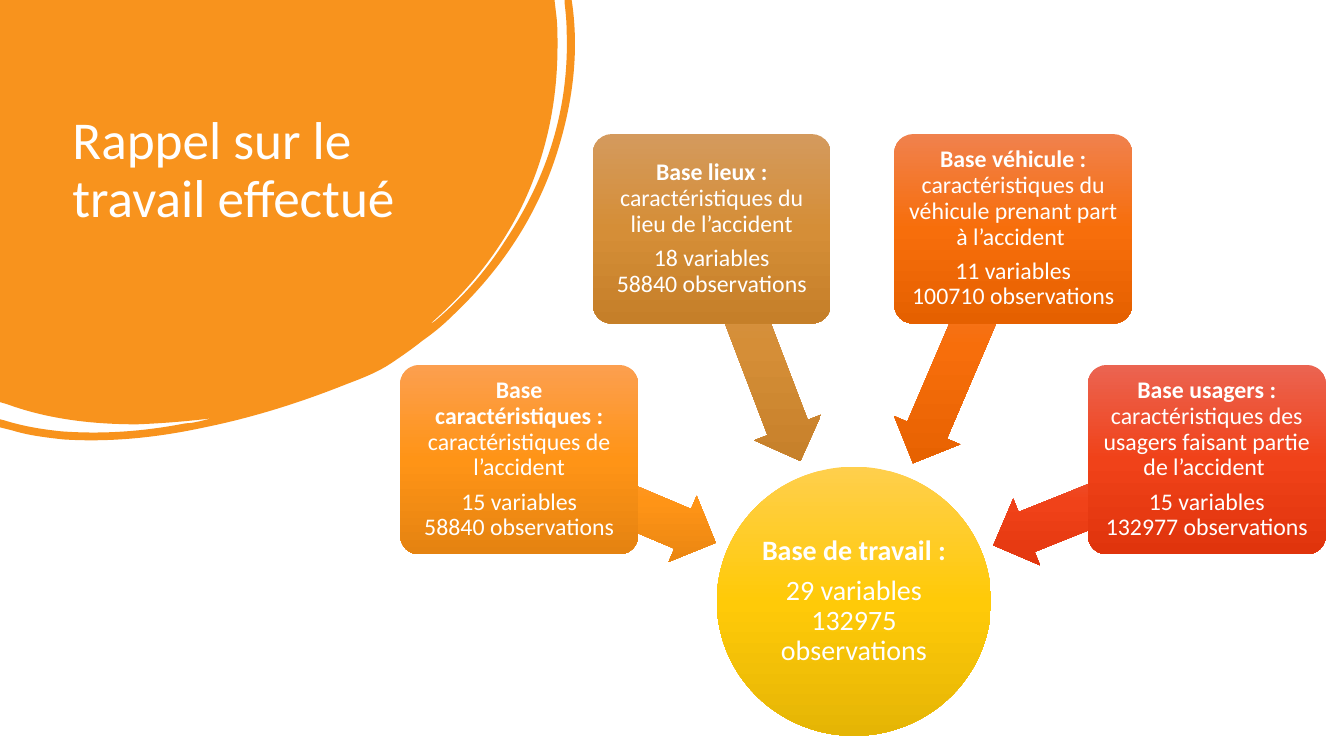
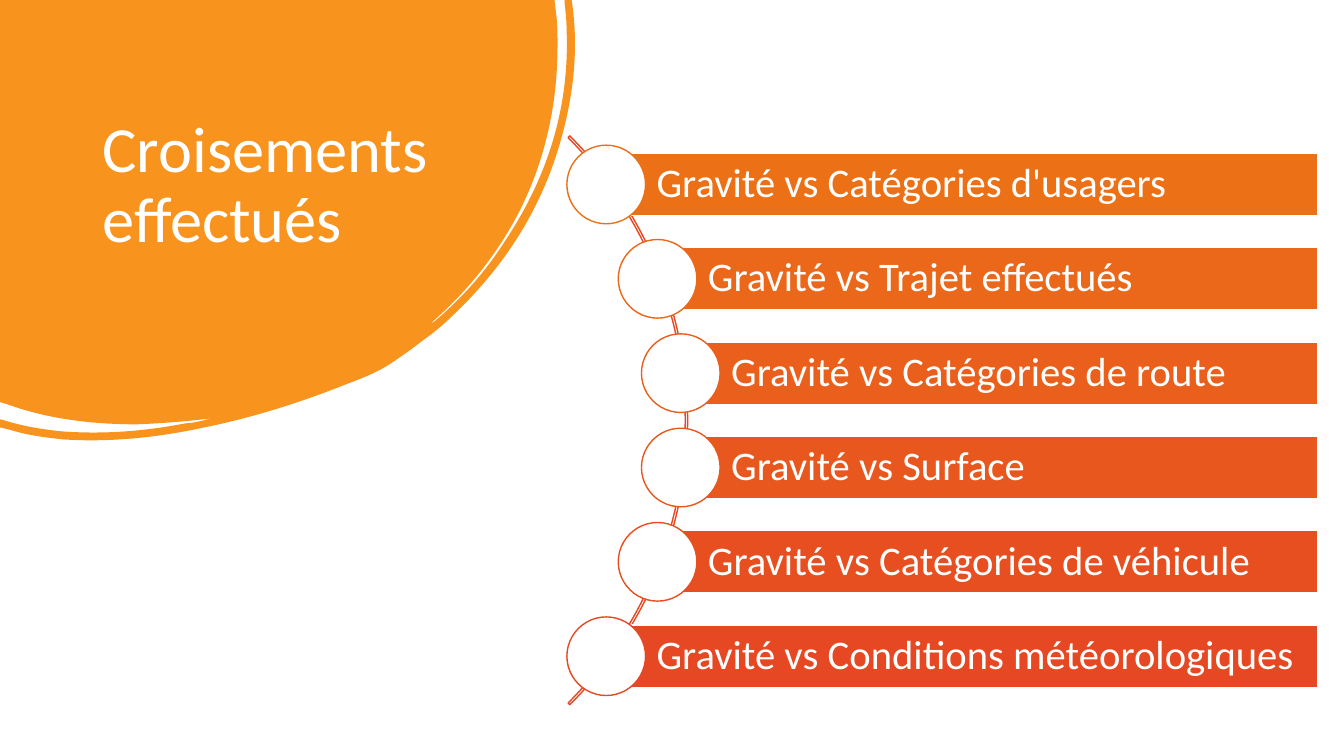
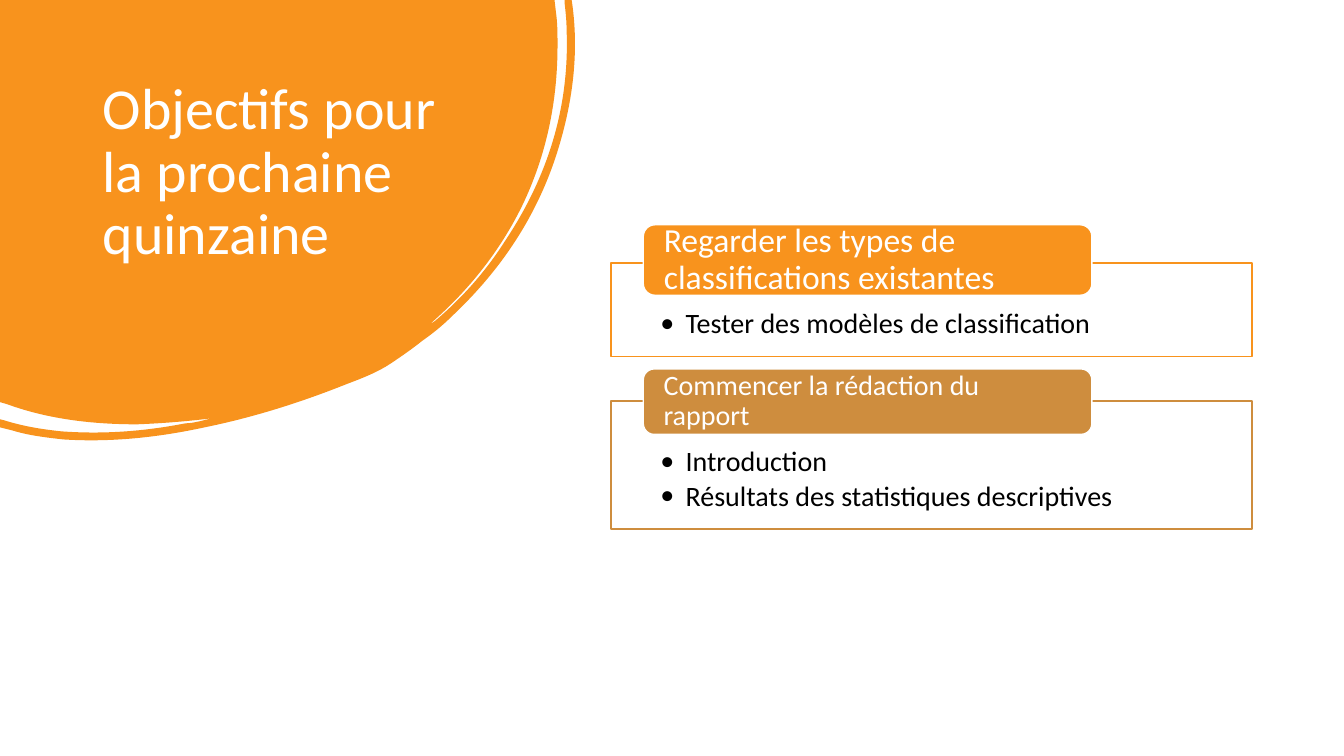
from math import atan2, cos, degrees, hypot, sin, sqrt

from lxml import etree
from pptx import Presentation
from pptx.dml.color import RGBColor
from pptx.enum.shapes import MSO_SHAPE
from pptx.enum.text import MSO_ANCHOR, PP_ALIGN
from pptx.oxml import parse_xml
from pptx.oxml.ns import nsdecls, qn
from pptx.util import Inches, Pt

RECT, ROUND = MSO_SHAPE.RECTANGLE, MSO_SHAPE.ROUNDED_RECTANGLE
OVAL, ARROW, ARC = MSO_SHAPE.OVAL, MSO_SHAPE.LEFT_ARROW, MSO_SHAPE.BLOCK_ARC
TOP, MID = MSO_ANCHOR.TOP, MSO_ANCHOR.MIDDLE
LEFT, MIDST = PP_ALIGN.LEFT, PP_ALIGN.CENTER


class Theme:
    font = "Calibri"
    white, black = "FFFFFF", "000000"
    orange, brown, red = "F8931D", "CE8D3E", "E64823"
    gold = ("FFCF4C", "FFCA08", "E5B505")
    small, body, bar = 17, 20, 29
    space = 0.9


TITLES = [
    ("Rappel sur le travail effectué", (0.62, 0.59), 38, MID),
    ("Croisements effectués", (0.92, 0.74), 46, MID),
    ("Objectifs pour la prochaine quinzaine", (0.92, 0.74), 41.4, TOP),
]

BASES = [
    ((3.97, 3.62), ("FC9F4F", "FF9416", "E58311"), "Base caractéristiques : ",
     "caractéristiques de l’accident", "15 variables\n58840 observations"),
    ((5.88, 1.33), ("D49A5D", "D58E37", "C57F29"), "Base lieux :\n",
     "caractéristiques du lieu de l’accident", "18 variables\n58840 observations"),
    ((8.87, 1.33), ("F0814D", "F76E0B", "E56000"), "Base véhicule : ",
     "caractéristiques du véhicule prenant part à l’accident ",
     "11 variables\n100710 observations"),
    ((10.79, 3.62), ("EB6451", "F04219", "E0340C"), "Base usagers :\n",
     "caractéristiques des usagers faisant partie de l’accident ",
     "15 variables\n132977 observations"),
]
HUB = ("Base de travail :", "29 variables\n132975 observations")

CROSSES = [
    ("Gravité vs Catégories d'usagers", "EC7016"),
    ("Gravité vs Trajet effectués", "EB6719"),
    ("Gravité vs Catégories de route", "EA5F1B"),
    ("Gravité vs Surface", "E8571E"),
    ("Gravité vs Catégories de véhicule", "E74F20"),
    ("Gravité vs Conditions météorologiques", "E64823"),
]

GOALS = [
    ("Regarder les types de classifications existantes", 24, Theme.orange,
     (2.23, 0.7), (2.61, 0.93), ["Tester des modèles de classification"]),
    ("Commencer la rédaction du rapport", 20, Theme.brown,
     (3.66, 0.65), (3.98, 1.27),
     ["Introduction", "Résultats des statistiques descriptives"]),
]

BLOB = [
    (0, 0), (5.5, 0), (5.52, 0.17),
    (5.53, 0.26, 5.53, 0.36, 5.53, 0.45), (5.53, 1.01, 5.42, 1.54, 5.18, 2.04),
    (4.96, 2.49, 4.65, 2.88, 4.27, 3.21), (4.29, 3.21, 4.3, 3.19, 4.32, 3.18),
    (4.59, 2.95, 4.82, 2.69, 5.01, 2.39), (5.43, 1.76, 5.65, 1.07, 5.62, 0.3),
    (5.62, 0.21, 5.61, 0.12, 5.6, 0.03), (5.6, 0), (5.67, 0), (5.68, 0.07),
    (5.74, 0.54, 5.68, 1.02, 5.53, 1.5), (5.33, 2.14, 4.97, 2.68, 4.48, 3.14),
    (4.39, 3.23, 4.29, 3.31, 4.19, 3.38), (4.09, 3.46, 3.99, 3.53, 3.87, 3.61),
    (3.75, 3.69, 3.6, 3.75, 3.44, 3.81), (2.99, 3.99, 2.52, 4.14, 2.03, 4.24),
    (1.57, 4.34, 1.1, 4.39, 0.63, 4.36), (0.45, 4.34, 0.28, 4.32, 0.12, 4.27),
    (0, 4.24), (0, 4.16), (0.04, 4.17), (0.23, 4.23, 0.42, 4.26, 0.61, 4.28),
    (1.03, 4.31, 1.43, 4.28, 1.84, 4.2), (1.89, 4.2, 1.93, 4.19, 1.98, 4.18),
    (2.02, 4.17, 2.06, 4.16, 2.1, 4.15), (1.86, 4.18, 1.61, 4.2, 1.36, 4.21),
    (0.92, 4.21, 0.48, 4.16, 0.07, 4.01), (0, 3.99),
]
EXTENT = (5.71, 4.37)


def paint(shape, fill=None, line=None):
    shape.shadow.inherit = False
    if isinstance(fill, tuple):
        stops = "".join(
            f'<a:gs pos="{i * 50000}"><a:srgbClr val="{tone}"/></a:gs>'
            for i, tone in enumerate(fill))
        shape._element.spPr.find(qn("a:prstGeom")).addnext(parse_xml(
            f'<a:gradFill {nsdecls("a")} rotWithShape="0"><a:gsLst>{stops}</a:gsLst>'
            '<a:lin ang="5400000" scaled="0"/></a:gradFill>'))
    elif fill:
        shape.fill.solid()
        shape.fill.fore_color.rgb = RGBColor.from_string(fill)
    else:
        shape.fill.background()
    if line:
        shape.line.color.rgb = RGBColor.from_string(line)
        shape.line.width = Pt(1)
    else:
        shape.line.fill.background()


def draw(slide, kind, at, fill=None, line=None, adjust=()):
    shape = slide.shapes.add_shape(kind, *map(Inches, at))
    for i, rate in enumerate(adjust):
        shape.adjustments[i] = rate
    paint(shape, fill, line)
    return shape


def add_blob(slide):
    ends = [tuple(map(Inches, part[-2:])) for part in BLOB]
    pen = slide.shapes.build_freeform(*ends[0], scale=1.0)
    pen.add_line_segments(ends[1:], close=True)
    blob = pen.convert_to_shape()
    blob.width, blob.height = map(Inches, EXTENT)
    trail = next(blob._element.iter(qn("a:path")))
    trail.set("w", str(blob.width))
    trail.set("h", str(blob.height))
    for part, leg in zip(BLOB[1:], trail.findall(qn("a:lnTo"))):
        if len(part) == 6:
            curve = etree.Element(qn("a:cubicBezTo"))
            for x, y in zip(part[::2], part[1::2]):
                spot = etree.SubElement(curve, qn("a:pt"))
                spot.set("x", str(Inches(x)))
                spot.set("y", str(Inches(y)))
            trail.replace(leg, curve)
    paint(blob, Theme.orange)


def write(shape, paras, size, pad, tone=Theme.white, align=LEFT, anchor=MID,
          after=0.35, dots=False):
    frame = shape.text_frame
    frame.word_wrap = True
    frame.vertical_anchor = anchor
    (frame.margin_left, frame.margin_top,
     frame.margin_right, frame.margin_bottom) = map(Inches, pad)
    for i, runs in enumerate(paras):
        para = frame.paragraphs[0] if i == 0 else frame.add_paragraph()
        para.alignment = align
        para.line_spacing = Theme.space
        para.space_after = Pt(round(size * after))
        if dots:
            props = para._p.get_or_add_pPr()
            props.set("marL", str(Inches(0.25)))
            props.set("indent", str(Inches(-0.25)))
            etree.SubElement(props, qn("a:buFont")).set("typeface", Theme.font)
            etree.SubElement(props, qn("a:buChar")).set("char", "•")
        for text, bold in runs:
            for j, piece in enumerate(text.split("\n")):
                if j:
                    para.add_line_break()
                if piece:
                    run = para.add_run()
                    run.text = piece
                    run.font.name = Theme.font
                    run.font.size = Pt(size)
                    run.font.bold = bold
                    run.font.color.rgb = RGBColor.from_string(tone)


def start(deck, title, at, size, anchor):
    slide = deck.slides.add_slide(deck.slide_layouts[6])
    add_blob(slide)
    box = slide.shapes.add_textbox(*map(Inches, (*at, 3.52, 2.22)))
    write(box, [[(title, False)]], size, (0.1, 0.05, 0.1, 0.05), anchor=anchor, after=0)
    return slide


def show_bases(slide):
    wide, high, thick, gap = 2.36, 1.88, 0.71, 1.49
    left, top, across, down = 7.11, 4.63, 2.72, 2.67
    hub = draw(slide, OVAL, (left, top, across, down), Theme.gold)
    head, facts = HUB
    write(hub, [[(head, True)], [(facts, False)]], Theme.body, (0, 0, 0, 0), align=MIDST)
    for (x, y), tones, head, about, facts in BASES:
        from_x, from_y = x + wide / 2, y + high / 2
        run, rise = left + across / 2 - from_x, top + down / 2 - from_y
        angle, long = atan2(rise, run), hypot(run, rise) - gap
        mid_x = from_x + cos(angle) * long / 2
        mid_y = from_y + sin(angle) * long / 2
        arrow = draw(slide, ARROW, (mid_x - long / 2, mid_y - thick / 2, long, thick),
                     tones, adjust=(0.6, 0.5))
        arrow.rotation = degrees(angle) + 180
        card = draw(slide, ROUND, (x, y, wide, high), tones, adjust=(0.1,))
        write(card, [[(head, True), (about, False)], [(facts, False)]],
              Theme.small, (0.04,) * 4, align=MIDST)


def show_crosses(slide):
    mid_x, reach, first, last = 2.83, 3.95, 1.83, 6.51
    high, dot, right, side = 0.62, 0.78, 13.07, 7.98
    mid_y, pitch = (first + last) / 2, (last - first) / (len(CROSSES) - 1)
    draw(slide, ARC, (mid_x - side / 2, mid_y - side / 2, side, side),
         line=Theme.red, adjust=(189, 27, 0.003))
    for i, (text, tone) in enumerate(CROSSES):
        y = first + i * pitch
        x = mid_x + sqrt(reach ** 2 - (y - mid_y) ** 2)
        bar = draw(slide, RECT, (x, y - high / 2, right - x, high), tone, Theme.white)
        write(bar, [[(text, False)]], Theme.bar, (0.5, 0.08, 0.08, 0.08))
        draw(slide, OVAL, (x - dot / 2, y - dot / 2, dot, dot), Theme.white, tone)


def show_goals(slide):
    for head, size, tone, (tab_y, tab_h), (y, high), points in GOALS:
        panel = draw(slide, RECT, (6.06, y, 6.36, high), Theme.white, tone)
        shade = panel._element.spPr.find(qn("a:solidFill"))[0]
        etree.SubElement(shade, qn("a:alpha")).set("val", "90000")
        write(panel, [[(point, False)] for point in points], Theme.body,
              (0.49, 0.46, 0.49, 0.16), Theme.black, anchor=TOP, after=0.15, dots=True)
        tab = draw(slide, ROUND, (6.38, tab_y, 4.45, tab_h), tone, Theme.white)
        write(tab, [[(head, False)]], size, (0.17, 0, 0.17, 0))


def main():
    deck = Presentation()
    deck.slide_width, deck.slide_height = Inches(13.33), Inches(7.5)
    for title, show in zip(TITLES, (show_bases, show_crosses, show_goals)):
        show(start(deck, *title))
    deck.save("out.pptx")


if __name__ == "__main__":
    main()
